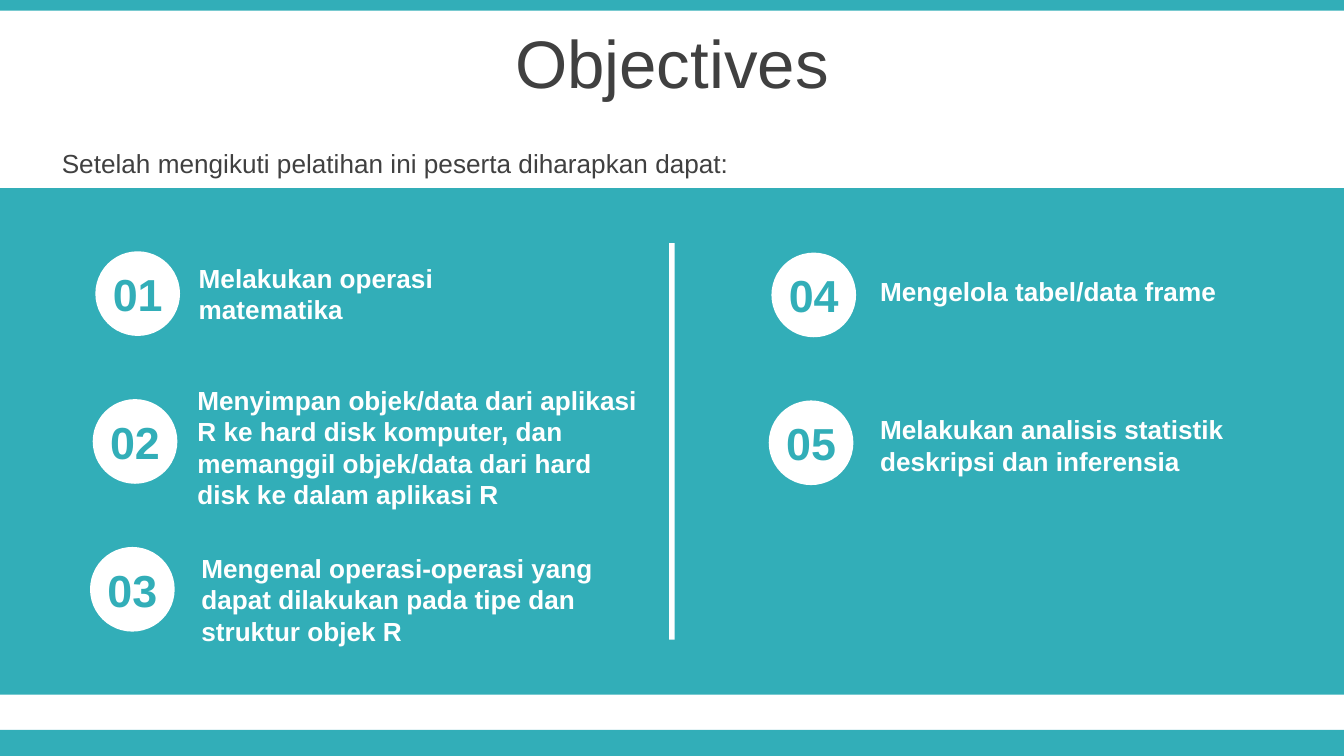
from pptx import Presentation
from pptx.dml.color import RGBColor
from pptx.enum import shapes, text
from pptx.oxml.ns import qn
from pptx.util import Inches, Pt

TEAL = RGBColor(0x32, 0xAE, 0xB8)
WHITE = RGBColor(0xFF, 0xFF, 0xFF)
GRAY = RGBColor(0x40, 0x40, 0x40)

RECTANGLE = shapes.MSO_SHAPE.RECTANGLE
OVAL = shapes.MSO_SHAPE.OVAL
LEFT, CENTER = text.PP_ALIGN.LEFT, text.PP_ALIGN.CENTER

WIDTH = 10
HEIGHT = WIDTH * 9 / 16
CIRCLE = 0.63
NUMBER_WIDTH, NUMBER_HEIGHT = 0.7, 0.5
ROW_STEP, ROW_SHIFT = 1.1, -0.02

COLUMNS = [
    (0.71, 1.87, [
        ("Melakukan operasi matematika", (1.38, 1.9, 2.91, 0.57)),
        ("Menyimpan objek/data dari aplikasi R ke hard disk komputer, dan "
         "memanggil objek/data dari hard disk ke dalam aplikasi R",
         (1.37, 2.81, 3.55, 1.04)),
        ("Mengenal operasi-operasi yang dapat dilakukan pada tipe dan "
         "struktur objek R", (1.4, 4.06, 3.6, 0.81)),
    ]),
    (5.74, 1.88, [
        ("Mengelola tabel/data frame", (6.45, 2, 2.91, 0.34)),
        ("Melakukan analisis statistik deskripsi dan inferensia",
         (6.45, 3.03, 2.91, 0.57)),
    ]),
]


def write(shape, words, size, color, bold=False, align=LEFT):
    frame = shape.text_frame
    frame.word_wrap = True
    frame.text = words
    paragraph = frame.paragraphs[0]
    paragraph.alignment = align
    font = paragraph.font
    font.name, font.size, font.bold = "Arial", Pt(size), bold
    font.color.rgb = color
    return paragraph


def fill_placeholder(placeholder, box, words, size, align):
    placeholder.left, placeholder.top, placeholder.width, placeholder.height = map(Inches, box)
    paragraph = write(placeholder, words, size, GRAY, align=align)
    paragraph.space_before = Pt(0)
    frame = placeholder.text_frame
    frame.auto_size = text.MSO_AUTO_SIZE.NONE
    frame.vertical_anchor = text.MSO_ANCHOR.MIDDLE
    return paragraph


def remove_bullet(paragraph):
    properties = paragraph._p.get_or_add_pPr()
    properties.set("marL", "0")
    properties.set("indent", "0")
    font_properties = properties.find(qn("a:defRPr"))
    font_properties.addprevious(properties.makeelement(qn("a:buNone"), {}))


def add_plain_shape(slide, kind, box, color):
    shape = slide.shapes.add_shape(kind, *map(Inches, box))
    shape.shadow.inherit = False
    shape.fill.solid()
    shape.fill.fore_color.rgb = color
    shape.line.fill.background()


def add_label(slide, box, words, size, color, align=LEFT):
    label = slide.shapes.add_textbox(*map(Inches, box))
    write(label, words, size, color, bold=True, align=align)


def add_objective(slide, number, left, top, words, box):
    add_plain_shape(slide, OVAL, (left, top, CIRCLE, CIRCLE), WHITE)
    number_box = (left + (CIRCLE - NUMBER_WIDTH) / 2,
                  top + (CIRCLE - NUMBER_HEIGHT) / 2,
                  NUMBER_WIDTH, NUMBER_HEIGHT)
    add_label(slide, number_box, f"{number:02}", 24, TEAL, CENTER)
    add_label(slide, box, words, 14, WHITE)


def main():
    presentation = Presentation()
    presentation.slide_width = Inches(WIDTH)
    presentation.slide_height = Inches(HEIGHT)
    slide = presentation.slides.add_slide(presentation.slide_layouts[1])

    fill_placeholder(slide.shapes.title, (0, 0.14, WIDTH, 0.63),
                     "Objectives", 36, CENTER)
    introduction = fill_placeholder(
        slide.placeholders[1], (0.36, 1.04, 7.95, 0.35),
        "Setelah mengikuti pelatihan ini peserta diharapkan dapat:", 14, LEFT)
    remove_bullet(introduction)

    for top, bottom in [(0, 0.08), (1.4, 5.17), (5.43, HEIGHT)]:
        add_plain_shape(slide, RECTANGLE, (0, top, WIDTH, bottom - top), TEAL)
    add_plain_shape(slide, RECTANGLE, (4.98, 1.81, 0.04, 2.95), WHITE)

    number = 0
    for left, top, objectives in COLUMNS:
        for row, (words, box) in enumerate(objectives):
            number += 1
            add_objective(slide, number, left + row * ROW_SHIFT,
                          top + row * ROW_STEP, words, box)

    presentation.save("out.pptx")


if __name__ == "__main__":
    main()
